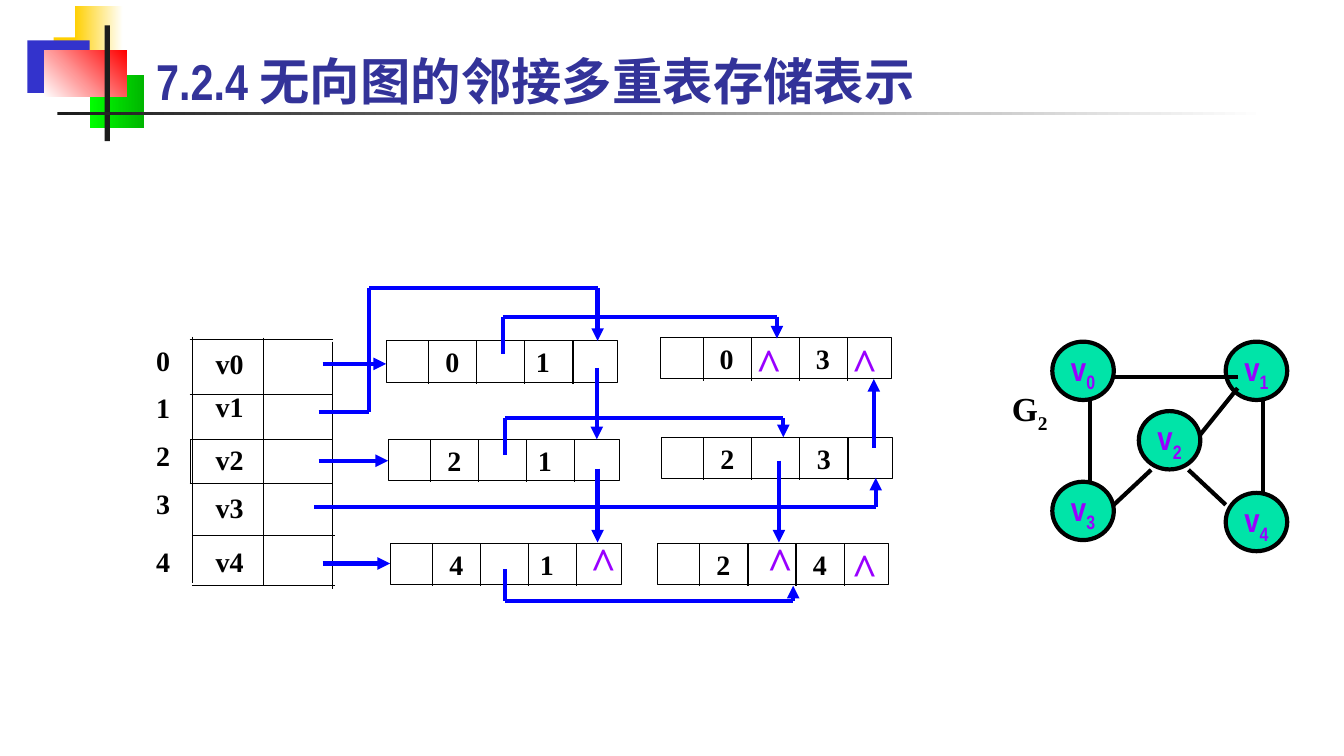
"""Build the slide on adjacency multilist storage of an undirected graph."""
from dataclasses import dataclass
from itertools import pairwise

from lxml.etree import SubElement as Sub
from pptx import Presentation
from pptx.dml.color import RGBColor as Rgb
from pptx.enum.shapes import MSO_CONNECTOR as Conn, MSO_SHAPE as Kind
from pptx.enum.text import MSO_ANCHOR as Anchor, MSO_AUTO_SIZE as Auto, PP_ALIGN as Align
from pptx.oxml.ns import qn
from pptx.util import Cm, Pt


@dataclass(frozen=True)
class Theme:
    """Colours, type faces and sizes of the slide."""
    ink: str = "000000"
    dark: str = "1C1C1C"
    white: str = "FFFFFF"
    gold: str = "FFCF01"
    navy: str = "3333CC"
    lime: str = "00FF00"
    green: str = "00B600"
    red: str = "FF0000"
    link: str = "0000FF"
    mark: str = "9900FF"
    mint: str = "00E4A8"
    head: str = "333399"
    sans: str = "Arial Narrow"
    serif: str = "Times New Roman"
    thin: float = 0.75
    bold: float = 3
    body: int = 20
    label: int = 24
    sign: int = 32
    title: int = 36


T = Theme()
BARE = {"margin_left": 0, "margin_right": 0, "margin_top": 0, "margin_bottom": 0,
        "word_wrap": False, "vertical_anchor": Anchor.MIDDLE}


def apply(item, form):
    """Set every attribute named in a format dict."""
    for key, value in form.items():
        setattr(item, key, value)


def write(frame, text, size, face, color, sub=""):
    """Write one bold line, with an optional subscript."""
    para = frame.paragraphs[0]
    para.alignment = Align.CENTER
    for part in filter(None, (text, sub)):
        run = para.add_run()
        run.text = part
        apply(run.font, {"size": Pt(size), "name": face, "bold": True})
        run.font.color.rgb = Rgb.from_string(color)
    if sub:
        run._r.get_or_add_rPr().set("baseline", "-25000")
    return para


def label(slide, x, y, text, size=T.body, color=T.ink, sub=""):
    """Centre a short text on a point."""
    wide, high = 1.2, 1.1
    box = slide.shapes.add_textbox(Cm(x - wide / 2), Cm(y - high / 2), Cm(wide), Cm(high))
    apply(box.text_frame, BARE)
    write(box.text_frame, text, size, T.serif, color, sub)


def line(slide, x1, y1, x2, y2, color=T.ink, width=T.thin, arrow=False):
    """Draw a straight line, with an optional arrowhead."""
    item = slide.shapes.add_connector(Conn.STRAIGHT, Cm(x1), Cm(y1), Cm(x2), Cm(y2))
    item.line.color.rgb = Rgb.from_string(color)
    item.line.width = Pt(width)
    if arrow:
        Sub(item.line._get_or_add_ln(), qn("a:tailEnd"), type="triangle")
    Sub(item._element.spPr, qn("a:effectLst"))


def shape(slide, kind, x, y, w, h, fills=(), angle=0, edge=None, width=T.thin):
    """Draw a shape with no fill, a plain fill or a gradient."""
    item = slide.shapes.add_shape(kind, Cm(x), Cm(y), Cm(w), Cm(h))
    item.shadow.inherit = False
    if len(fills) == 2:
        item.fill.gradient()
        item.fill.gradient_angle = angle
        for stop, color, place in zip(item.fill.gradient_stops, fills, (0, 1)):
            stop.color.rgb = Rgb.from_string(color)
            stop.position = place
    elif fills:
        item.fill.solid()
        item.fill.fore_color.rgb = Rgb.from_string(fills[0])
    else:
        item.fill.background()
    if edge:
        item.line.color.rgb = Rgb.from_string(edge)
        item.line.width = Pt(width)
    else:
        item.line.fill.background()
    return item


def decor(slide, left, top):
    """Draw the coloured blocks and rules beside the title."""
    blocks = [
        (0.66, 0.79, 1.63, 1.32, (T.gold,), 0),
        (1.19, 0, 1.22, 1.32, (T.gold, T.white), 0),
        (0, 0.87, 1.57, 1.32, (T.navy,), 0),
        (1.57, 1.75, 1.37, 1.32, (T.lime, T.green), 0),
        (0.43, 1.12, 2.08, 1.17, (T.white, T.red), 45),
        (1.95, 0.49, 0.13, 2.92, (T.dark,), 0),
        (0.76, 2.67, 30.48, 0.08, (T.dark, T.white), 0),
    ]
    for x, y, w, h, fills, angle in blocks:
        shape(slide, Kind.RECTANGLE, left + x, top + y, w, h, fills, angle)


def heading(slide, left, top, wide, high):
    """Fill the title placeholder."""
    title = slide.shapes.title
    apply(title, {"left": Cm(left), "top": Cm(top), "width": Cm(wide), "height": Cm(high)})
    apply(title.text_frame, {"auto_size": Auto.NONE, "vertical_anchor": Anchor.TOP})
    para = write(title.text_frame, "7.2.4 无向图的邻接多重表存储表示", T.title, T.sans, T.head)
    para.alignment = Align.LEFT


def heads(slide, left, top):
    """Draw the vertex list with its row numbers."""
    shape(slide, Kind.RECTANGLE, left + 1.12, top + 2.59, 3.58, 1.12, edge=T.ink)
    for x, y in ((1.1, 0.08), (1.1, 1.45), (1.1, 3.71), (1.17, 5.01), (1.17, 6.28)):
        line(slide, left + x, top + y, left + x + 3.6, top + y)
    for x, y in ((1.17, 0), (2.97, 0.03), (4.7, 0.13)):
        line(slide, left + x, top + y, left + x, top + y + 6.22)
    rows = [(0.6, 0.68), (1.79, 1.77), (2.99, 3.09), (4.21, 4.31), (5.66, 5.66)]
    for num, (y, mid) in enumerate(rows):
        label(slide, left + 0.43, top + y, str(num))
        label(slide, left + 2.11, top + mid, f"v{num}")


def node(slide, left, top, ends, last, marks):
    """Draw one edge node of five cells with its end vertices and null marks."""
    shape(slide, Kind.RECTANGLE, left, top, 5.84, 1.04, edge=T.ink)
    for step in range(4):
        x = left + 1.08 + 1.21 * step
        line(slide, x, top, x, top + 1.08)
    for x, text in zip((1.67, last), ends):
        label(slide, left + x, top + 0.52, text)
    for x, y in marks:
        label(slide, left + x, top + y, "^", T.sign, T.mark)


def nodes(slide, left, top):
    """Place the six edge nodes in two columns."""
    near, far = 3.95, 4.1
    items = [
        (0, 0.08, "01", near, ()),
        (6.91, 0, "03", far, ((2.74, 0.62), (5.15, 0.62))),
        (6.93, 2.51, "23", far, ()),
        (0.05, 2.56, "21", near, ()),
        (6.83, 5.18, "24", far, ((3.1, 0.47), (5.23, 0.62))),
        (0.1, 5.18, "41", near, ((5.38, 0.47),)),
    ]
    for x, y, *rest in items:
        node(slide, left + x, top + y, *rest)


def links(slide, left, top):
    """Draw the pointers as chains of lines ending in an arrowhead."""
    chains = [
        [(0.23, 1.97), (1.83, 1.97)],
        [(0.13, 4.41), (1.88, 4.41)],
        [(0.23, 7), (1.93, 7)],
        [(4.77, 1.72), (4.77, 0.78), (11.68, 0.78), (11.68, 1.33)],
        [(0.13, 3.19), (1.4, 3.19), (1.4, 0.06), (7.16, 0.06), (7.16, 1.39)],
        [(7.14, 2.07), (7.14, 3.87)],
        [(7.16, 4.61), (7.16, 6.47)],
        [(4.83, 4.26), (4.83, 3.34), (11.84, 3.34), (11.84, 3.82)],
        [(11.73, 4.41), (11.73, 6.47)],
        [(0.02, 5.58), (14.17, 5.58), (14.17, 4.84)],
        [(14.12, 4.08), (14.12, 2.35)],
        [(4.83, 7.15), (4.83, 7.94), (12.09, 7.94), (12.09, 7.56)],
    ]
    for chain in chains:
        for (x1, y1), (x2, y2) in pairwise(chain):
            line(slide, left + x1, top + y1, left + x2, top + y2, T.link, T.bold,
                 (x2, y2) == chain[-1])


def graph(slide, left, top):
    """Draw the undirected graph with its name."""
    spots = [(0, 0), (4.37, 0), (2.18, 1.75), (0, 3.53), (4.37, 3.81)]
    for num, (x, y) in enumerate(spots):
        ball = shape(slide, Kind.OVAL, left + x, top + y, 1.55, 1.47, (T.mint,),
                     edge=T.ink, width=T.bold)
        apply(ball.text_frame, BARE)
        write(ball.text_frame, "v", T.label, T.sans, T.mark, str(num))
    edges = [
        (1.55, 0.89, 4.67, 0.89), (0.94, 1.47, 0.94, 3.53), (5.31, 1.47, 5.31, 3.81),
        (4.67, 1.17, 3.73, 2.34), (2.49, 3.23, 1.55, 4.11), (3.43, 3.23, 4.37, 4.11),
    ]
    for x1, y1, x2, y2 in edges:
        line(slide, left + x1, top + y1, left + x2, top + y2, width=T.bold)
    label(slide, left - 0.57, top + 1.75, "G", T.label, sub="2")


def main():
    """Build and save the slide."""
    deck = Presentation()
    apply(deck, {"slide_width": Cm(33.87), "slide_height": Cm(19.05)})
    slide = deck.slides.add_slide(deck.slide_layouts[5])
    decor(slide, 0.69, 0.15)
    heading(slide, 3.68, 1.14, 23.72, 1.75)
    heads(slide, 3.68, 8.48)
    nodes(slide, 9.73, 8.51)
    links(slide, 7.9, 7.2)
    graph(slide, 26.52, 8.61)
    deck.save("out.pptx")


if __name__ == "__main__":
    main()
